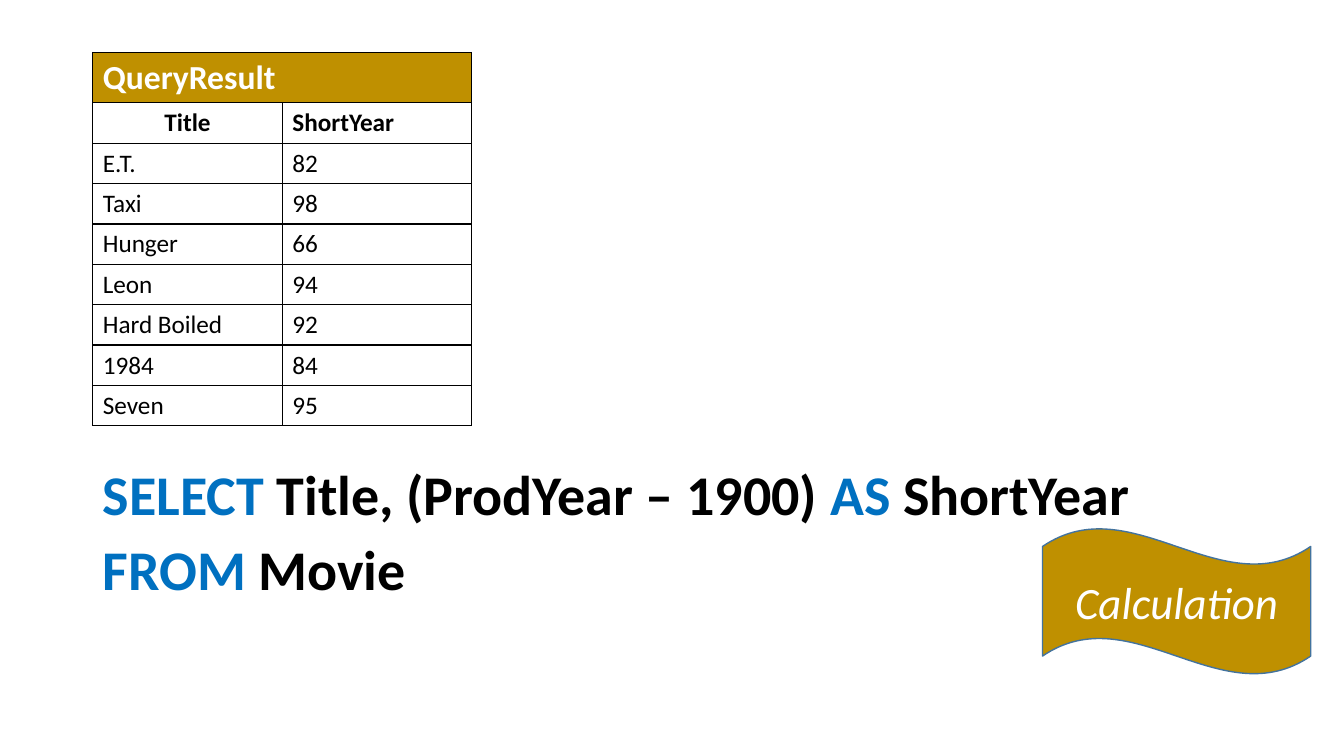
from lxml import etree
from pptx import Presentation
from pptx.dml.color import RGBColor
from pptx.enum.shapes import MSO_SHAPE
from pptx.enum.text import MSO_ANCHOR, PP_ALIGN
from pptx.oxml import parse_xml
from pptx.oxml.ns import nsdecls, qn
from pptx.util import Inches, Pt

COLORS = {
    "gold": "BF9000",
    "outline": "43739E",
    "keyword": "0070C0",
    "black": "000000",
    "white": "FFFFFF",
}
FONT = "Calibri"


def style_font(font, size, color, bold=False, italic=False):
    font.name = FONT
    font.size = Pt(size)
    font.bold = bold
    font.italic = italic
    font.color.rgb = RGBColor.from_string(COLORS[color])


def add_borders(cell):
    properties = cell._tc.get_or_add_tcPr()
    for index, side in enumerate(("lnL", "lnR", "lnT", "lnB")):
        border = parse_xml(f'<a:{side} {nsdecls("a")} w="12700"/>')
        fill = etree.SubElement(border, qn("a:solidFill"))
        etree.SubElement(fill, qn("a:srgbClr"), val=COLORS["black"])
        properties.insert(index, border)


presentation = Presentation()
presentation.slide_width = Inches(13.33)
presentation.slide_height = Inches(7.5)
slide = presentation.slides.add_slide(presentation.slide_layouts[6])

wave = slide.shapes.add_shape(
    MSO_SHAPE.WAVE, Inches(10.34), Inches(5.24), Inches(2.66), Inches(1.45)
)
wave.shadow.inherit = False
wave.fill.solid()
wave.fill.fore_color.rgb = RGBColor.from_string(COLORS["gold"])
wave.line.color.rgb = RGBColor.from_string(COLORS["outline"])
wave.line.width = Pt(1)
wave.text_frame.text = "Calculation"
wave.text_frame.vertical_anchor = MSO_ANCHOR.MIDDLE
paragraph = wave.text_frame.paragraphs[0]
paragraph.alignment = PP_ALIGN.CENTER
style_font(paragraph.runs[0].font, 32, "white", italic=True)

query_lines = [
    [
        ("SELECT", "keyword"),
        (" Title, (ProdYear – 1900) ", "black"),
        ("AS", "keyword"),
        (" ShortYear", "black"),
    ],
    [("FROM", "keyword"), (" Movie", "black")],
]
query_box = slide.shapes.add_textbox(
    Inches(0.92), Inches(4.59), Inches(11.5), Inches(2.17)
)
query_frame = query_box.text_frame
query_frame.word_wrap = True
for index, parts in enumerate(query_lines):
    paragraph = query_frame.add_paragraph() if index else query_frame.paragraphs[0]
    paragraph.line_spacing = 0.9
    if index:
        paragraph.space_before = Pt(10)
    for text, color in parts:
        run = paragraph.add_run()
        run.text = text
        style_font(run.font, 40, color, bold=True)

result_rows = [
    ("QueryResult", ""),
    ("Title", "ShortYear"),
    ("E.T.", "82"),
    ("Taxi", "98"),
    ("Hunger", "66"),
    ("Leon", "94"),
    ("Hard Boiled", "92"),
    ("1984", "84"),
    ("Seven", "95"),
]
table = slide.shapes.add_table(
    len(result_rows), 2, Inches(0.92), Inches(0.52), Inches(3.76), Inches(3.7)
).table
table.horz_banding = False
table.cell(0, 0).merge(table.cell(0, 1))
for row, values in enumerate(result_rows):
    table.rows[row].height = Inches(0.4 if row else 0.5)
    for column, value in enumerate(values):
        cell = table.cell(row, column)
        cell.fill.solid()
        cell.fill.fore_color.rgb = RGBColor.from_string(
            COLORS["white" if row else "gold"]
        )
        add_borders(cell)
        if cell.is_spanned:
            continue
        cell.text_frame.text = value
        paragraph = cell.text_frame.paragraphs[0]
        if value == "Title":
            paragraph.alignment = PP_ALIGN.CENTER
        style_font(
            paragraph.runs[0].font,
            18 if row else 24,
            "black" if row else "white",
            bold=row < 2,
        )

presentation.save("out.pptx")
